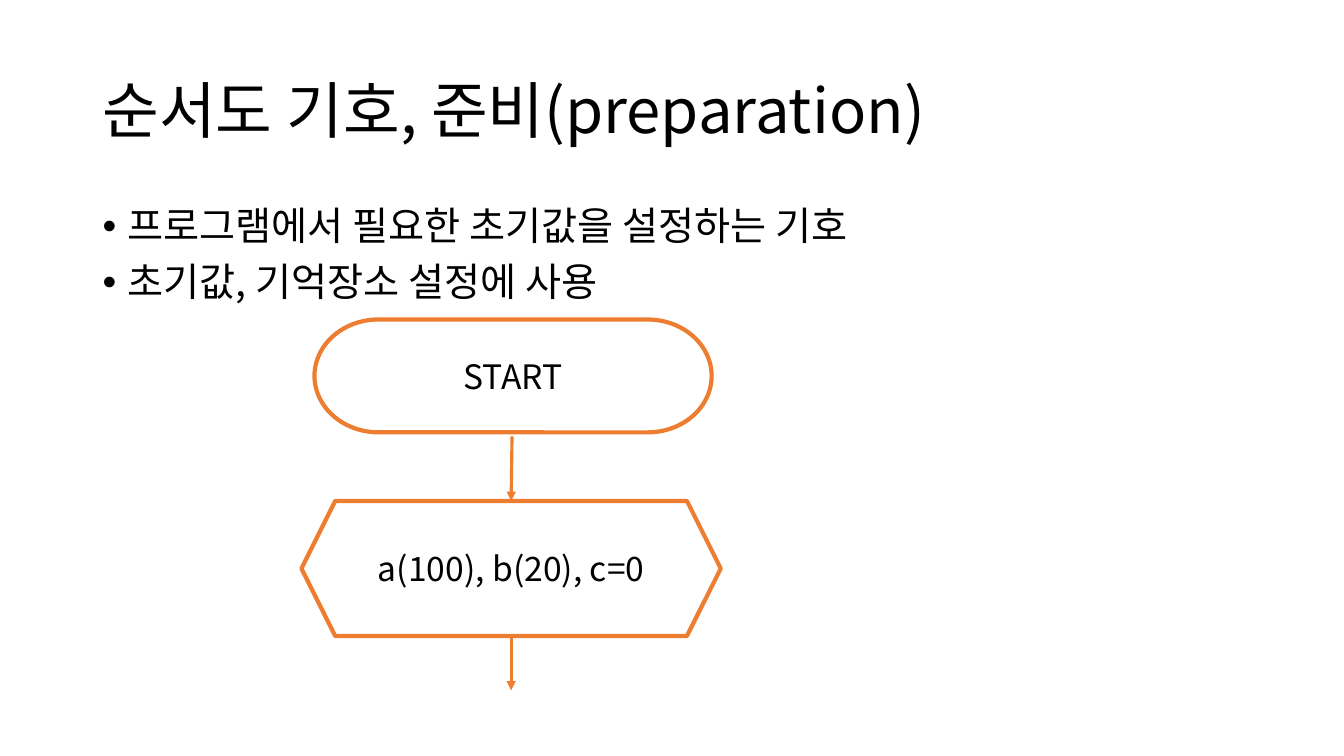
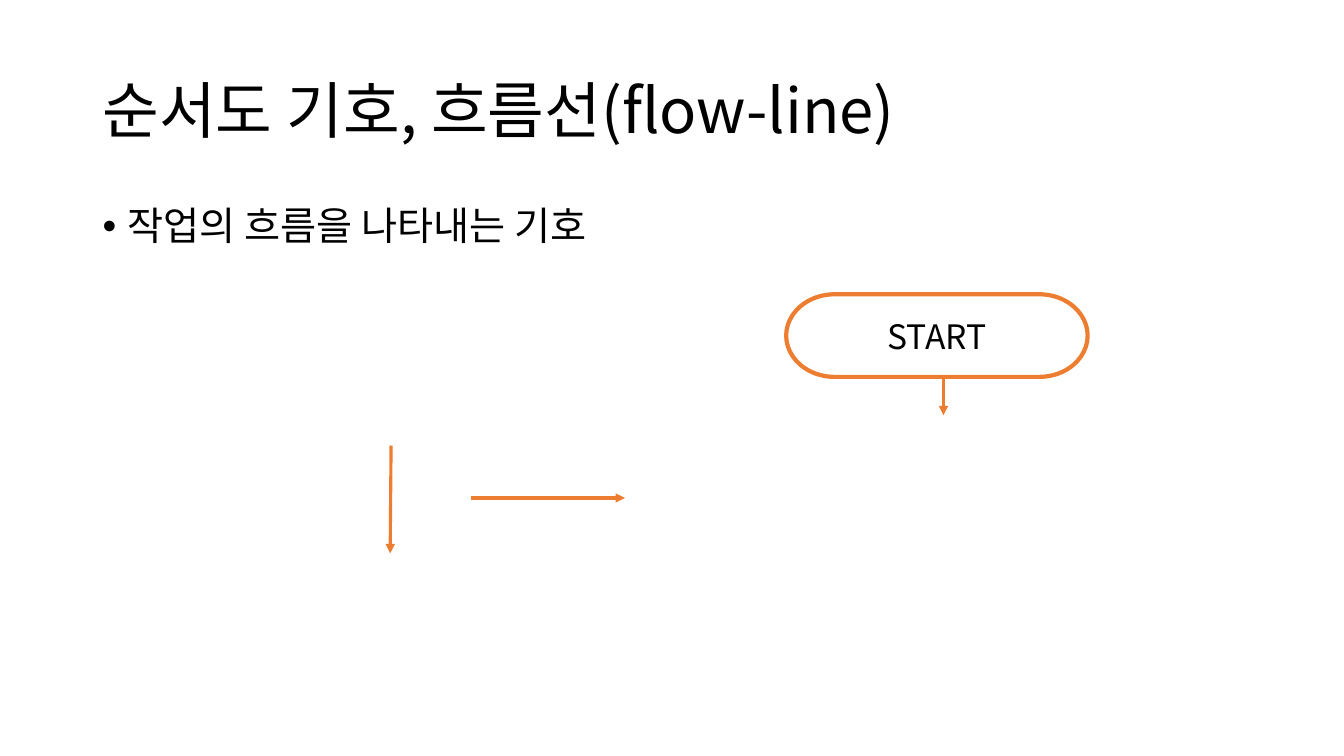
from lxml.etree import SubElement
from pptx import Presentation
from pptx.dml.color import RGBColor
from pptx.enum.shapes import MSO_CONNECTOR, MSO_SHAPE
from pptx.enum.text import MSO_ANCHOR, MSO_AUTO_SIZE, PP_ALIGN
from pptx.oxml.ns import qn
from pptx.util import Inches, Pt

COLORS = {"paper": "FFFFFF", "ink": "000000", "flow": "ED7D31"}
FONT = "Noto Sans CJK KR"

deck = Presentation()
deck.slide_width, deck.slide_height = Inches(13.33), Inches(7.5)
COLUMN, ROW = deck.slide_width / 100, deck.slide_height / 100

TITLE_AREA = (6.88, 5.33, 86.25, 19.33)
LIST_AREA = (6.88, 26.67, 86.25, 63.47)

PAGES = [
    {
        "title": "순서도 기호, 준비(preparation)",
        "points": ["프로그램에서 필요한 초기값을 설정하는 기호", "초기값, 기억장소 설정에 사용"],
        "symbols": [
            (MSO_SHAPE.FLOWCHART_TERMINATOR, "START", (23.4, 42.27, 29.55, 14.93)),
            (MSO_SHAPE.HEXAGON, "a(100), b(20), c=0", (22.43, 66.27, 31.2, 17.87)),
        ],
        "flows": [(38.1, 57.73, 38.03, 66.27), (38.03, 84, 38.03, 91.33)],
    },
    {
        "title": "순서도 기호, 흐름선(flow-line)",
        "points": ["작업의 흐름을 나타내는 기호"],
        "symbols": [(MSO_SHAPE.FLOWCHART_TERMINATOR, "START", (58.5, 38.93, 22.43, 10.93))],
        "flows": [
            (70.2, 49.87, 70.2, 54.93),
            (29.1, 58.93, 29.03, 73.2),
            (35.03, 65.87, 46.5, 65.87),
        ],
    },
]


def on_grid(area):
    return [round(n * unit) for n, unit in zip(area, (COLUMN, ROW, COLUMN, ROW))]


def write(frame, lines, size, align=PP_ALIGN.LEFT, anchor=MSO_ANCHOR.MIDDLE,
          line_spacing=1.0, gap=0, indent=0):
    frame.word_wrap = True
    frame.auto_size = MSO_AUTO_SIZE.NONE
    frame.vertical_anchor = anchor
    for number, line in enumerate(lines):
        paragraph = frame.add_paragraph() if number else frame.paragraphs[0]
        paragraph.alignment = align
        paragraph.line_spacing = line_spacing
        paragraph.space_before = Pt(gap if number else 0)
        if indent:
            properties = paragraph._p.get_or_add_pPr()
            properties.set("marL", str(Inches(indent)))
            properties.set("indent", str(-Inches(indent)))
        run = paragraph.add_run()
        run.text = line
        run.font.size = Pt(size)
        run.font.name = FONT
        run.font.color.rgb = RGBColor.from_string(COLORS["ink"])
        SubElement(run._r.get_or_add_rPr(), qn("a:ea"), typeface=FONT)


for page in PAGES:
    slide = deck.slides.add_slide(deck.slide_layouts[1])
    slide.background.fill.solid()
    slide.background.fill.fore_color.rgb = RGBColor.from_string(COLORS["paper"])

    title, points = slide.shapes.title, slide.placeholders[1]
    for holder, area in ((title, TITLE_AREA), (points, LIST_AREA)):
        holder.left, holder.top, holder.width, holder.height = on_grid(area)
    write(title.text_frame, [page["title"]], size=44, line_spacing=0.9)
    write(points.text_frame, page["points"], size=28, anchor=MSO_ANCHOR.TOP,
          line_spacing=0.9, gap=10, indent=0.25)

    for outline, label, area in page["symbols"]:
        symbol = slide.shapes.add_shape(outline, *on_grid(area))
        symbol.shadow.inherit = False
        symbol.fill.solid()
        symbol.fill.fore_color.rgb = RGBColor.from_string(COLORS["paper"])
        symbol.line.color.rgb = RGBColor.from_string(COLORS["flow"])
        symbol.line.width = Pt(3)
        write(symbol.text_frame, [label], size=24, align=PP_ALIGN.CENTER)

    for ends in page["flows"]:
        flow = slide.shapes.add_connector(MSO_CONNECTOR.STRAIGHT, *on_grid(ends))
        flow.line.color.rgb = RGBColor.from_string(COLORS["flow"])
        flow.line.width = Pt(2.25)
        SubElement(flow.line._get_or_add_ln(), qn("a:tailEnd"), type="triangle")
        SubElement(flow._element.spPr, qn("a:effectLst"))

deck.save("out.pptx")
